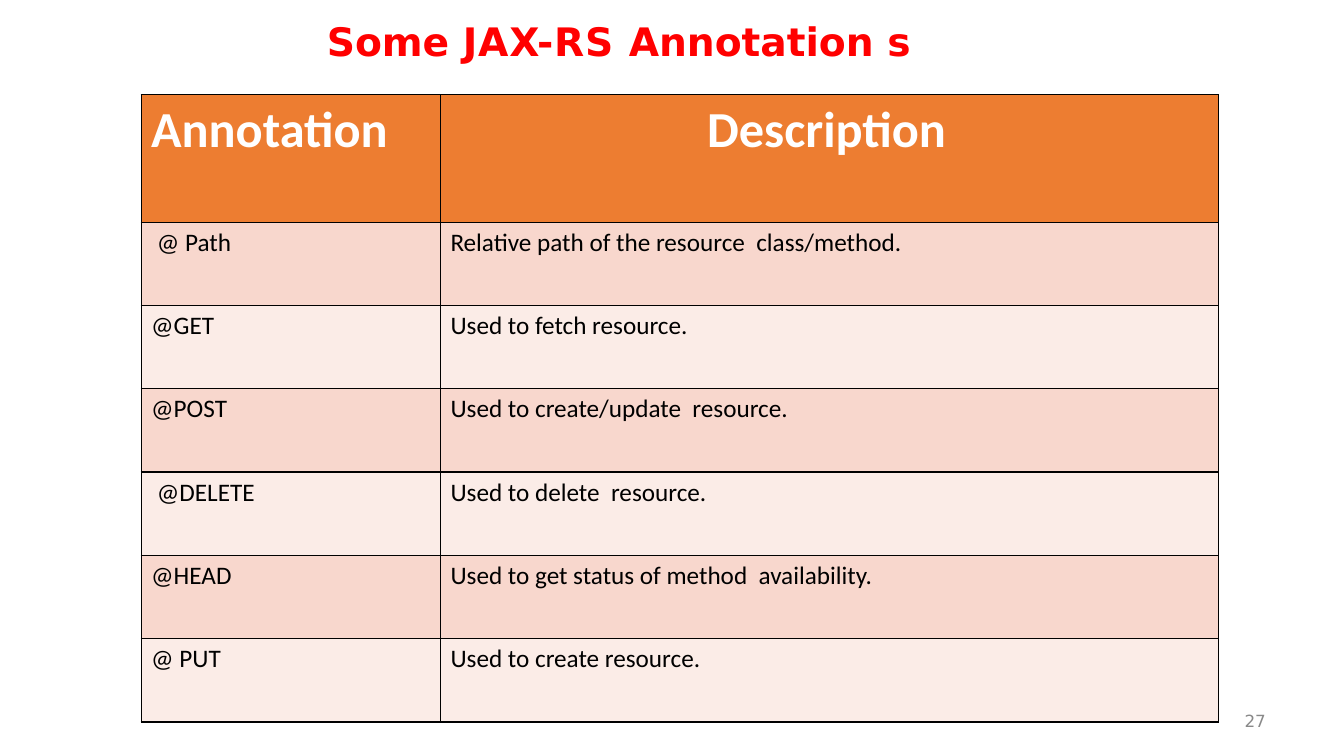
from lxml import etree
from pptx import Presentation
from pptx.dml.color import RGBColor
from pptx.enum import text as t
from pptx.oxml import ns
from pptx.util import Pt

ROWS = [
    (" @ Path", "Relative path of the resource  class/method."),
    ("@GET", "Used to fetch resource."),
    ("@POST", "Used to create/update  resource."),
    (" @DELETE ", "Used to delete  resource."),
    ("@HEAD", "Used to get status of method  availability."),
    ("@ PUT", "Used to create resource."),
]
BANDS = ("F8D7CD", "FBECE7")
COLS = (213.8, 555.9)
HEAD, ROW = 91, 59.5


def tint(target, color):
    """Give a font or fill colour from a hex string."""
    target.rgb = RGBColor.from_string(color)


def add_run(para, words, size, color, font="Calibri", bold=False, gap=0):
    """Add one run; gap is letter spacing in points."""
    run = para.add_run()
    run.text = words
    run.font.size = Pt(size)
    run.font.name = font
    run.font.bold = bold
    tint(run.font.color, color)
    if gap:
        run.font._element.set("spc", str(round(gap * 100)))


def add_label(slide, box, runs, before=0, **style):
    """Add a text box without margins, holding (words, gap) runs."""
    frame = slide.shapes.add_textbox(*map(Pt, box)).text_frame
    frame.word_wrap = True
    frame.margin_left = frame.margin_right = 0
    frame.margin_top = frame.margin_bottom = 0
    para = frame.paragraphs[0]
    para.space_before = Pt(before)
    for words, gap in runs:
        add_run(para, words, font="DejaVu Sans", gap=gap, **style)


def add_edges(cell, color="000000", width=0.96):
    """Draw a thin line on all four sides of a cell."""
    props = cell._tc.get_or_add_tcPr()
    for i, side in enumerate("LRTB"):
        line = etree.Element(ns.qn("a:ln" + side), w=str(Pt(width)))
        fill = etree.SubElement(line, ns.qn("a:solidFill"))
        etree.SubElement(fill, ns.qn("a:srgbClr"), val=color)
        props.insert(i, line)


def fill_cell(cell, runs, fill, color, bold=False, align=t.PP_ALIGN.LEFT):
    """Colour a cell, edge it and write its (words, size) runs."""
    cell.fill.solid()
    tint(cell.fill.fore_color, fill)
    add_edges(cell)
    para = cell.text_frame.paragraphs[0]
    para.alignment = align
    for words, size in runs:
        add_run(para, words, size, color, bold=bold)


def add_grid(slide, left, top):
    """Add the table of annotations with its heading and banded rows."""
    high = HEAD + ROW * len(ROWS)
    grid = slide.shapes.add_table(
        len(ROWS) + 1, len(COLS), Pt(left), Pt(top), Pt(sum(COLS)), Pt(high)
    ).table
    for col, wide in zip(grid.columns, COLS):
        col.width = Pt(wide)
    for i, row in enumerate(grid.rows):
        row.height = Pt(ROW if i else HEAD)

    head = dict(fill="ED7D31", color="FFFFFF", bold=True)
    fill_cell(grid.cell(0, 0), [("Annotation", 36)], **head)
    fill_cell(grid.cell(0, 1), [(" ", 18), ("Description ", 36)],
              align=t.PP_ALIGN.CENTER, **head)
    for i, pair in enumerate(ROWS):
        for j, words in enumerate(pair):
            fill_cell(grid.cell(i + 1, j), [(words, 18)], BANDS[i % 2], "000000")


def main():
    """Build the slide and save it."""
    deck = Presentation()
    deck.slide_width, deck.slide_height = Pt(960), Pt(540)
    slide = deck.slides.add_slide(deck.slide_layouts[6])
    title = [("Some ", 0), ("JAX-RS ", 0.6), ("Annotation s", 0)]
    add_label(slide, (233.5, 12.2, 604, 40), title, before=1,
              size=28, color="FF0000", bold=True)
    add_grid(slide, 100.8, 67.7)
    add_label(slide, (889, 507.6, 22, 20), [("27", 0)], size=12, color="898989")
    deck.save("out.pptx")


main()
